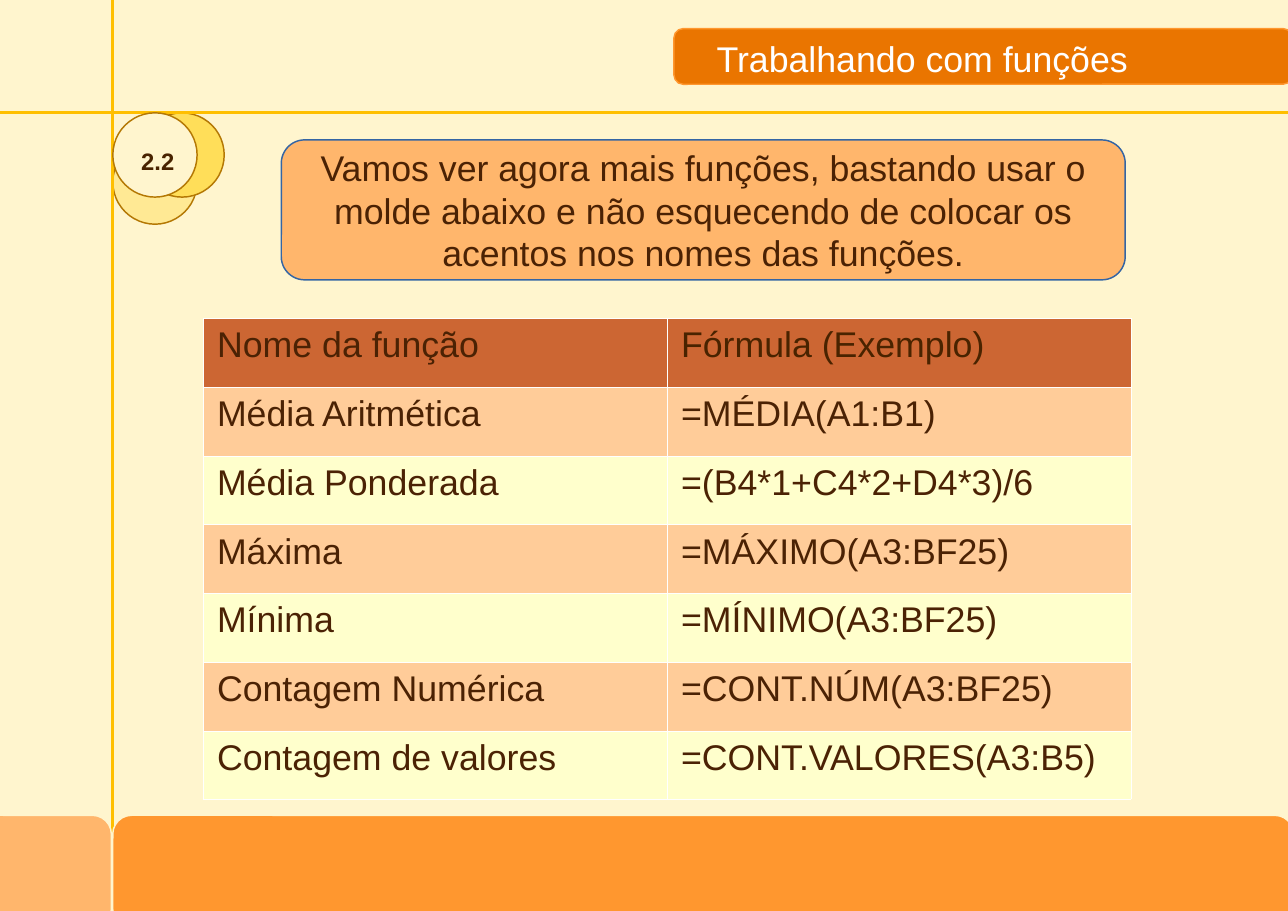
"""Build the slide about working with spreadsheet functions."""
from dataclasses import dataclass

from lxml import etree
from pptx import Presentation
from pptx import util as u
from pptx.dml.color import RGBColor
from pptx.enum import shapes, text
from pptx.oxml import ns


@dataclass(frozen=True)
class Theme:
    """Colours, font and type sizes of the slide."""
    font: str = "Arial"
    body_size: float = 18
    badge_size: float = 12
    cream: str = "FFF5CE"
    pale_yellow: str = "FFE994"
    yellow: str = "FFDE59"
    gold: str = "FFBF00"
    bronze: str = "B47804"
    orange: str = "FF972F"
    peach: str = "FFB66C"
    deep_orange: str = "EA7500"
    blue: str = "3465A4"
    white: str = "FFFFFF"
    brown: str = "4B2204"
    dark_brown: str = "492300"
    header: str = "CC6633"
    bands: tuple[str, str] = ("FFCC99", "FFFFCC")


@dataclass(frozen=True)
class Panel:
    """A filled preset shape with a hairline outline."""
    left: float
    top: float
    width: float
    height: float
    fill: str
    line: str
    kind: shapes.MSO_SHAPE = shapes.MSO_SHAPE.ROUNDED_RECTANGLE


@dataclass(frozen=True)
class Rule:
    """A straight line between two points."""
    start: tuple[float, float]
    end: tuple[float, float]


THEME = Theme()
MARGIN = 0.79
CIRCLE = 0.59
OFFSET = 0.19


def circle(left: float, top: float, fill: str) -> Panel:
    """Describe one circle of the section badge."""
    return Panel(left, top, CIRCLE, CIRCLE, fill, THEME.bronze, shapes.MSO_SHAPE.OVAL)


BACK_CIRCLES = (
    circle(MARGIN, MARGIN + OFFSET, THEME.pale_yellow),
    circle(MARGIN + OFFSET, MARGIN, THEME.yellow),
)
FRONT_CIRCLE = circle(MARGIN, MARGIN, THEME.cream)
RULES = (Rule((MARGIN, 0), (MARGIN, 6.38)), Rule((0, MARGIN), (9.06, MARGIN)))
TITLE_BAR = Panel(4.72, 0.2, 4.33, 0.39, THEME.deep_orange, THEME.orange)
FOOTERS = (
    Panel(-0.2, 5.71, 0.98, 0.79, THEME.peach, THEME.cream),
    Panel(MARGIN, 5.71, 8.27, 0.79, THEME.orange, THEME.cream),
)
CALLOUT = Panel(1.97, 0.98, 5.91, 0.98, THEME.peach, THEME.blue)
CALLOUT_TEXT = (
    "Vamos ver agora mais funções, bastando usar o molde abaixo "
    "e não esquecendo de colocar os",
    "acentos nos nomes das funções.",
)
FUNCTIONS = (
    ("Nome da função", "Fórmula (Exemplo)"),
    ("Média Aritmética", "=MÉDIA(A1:B1)"),
    ("Média Ponderada", "=(B4*1+C4*2+D4*3)/6"),
    ("Máxima", "=MÁXIMO(A3:BF25)"),
    ("Mínima", "=MÍNIMO(A3:BF25)"),
    ("Contagem Numérica", "=CONT.NÚM(A3:BF25)"),
    ("Contagem de valores", "=CONT.VALORES(A3:B5)"),
)


def color(value: str) -> RGBColor:
    """Turn a hex value into a colour."""
    return RGBColor.from_string(value)


def write(frame, *lines: str, size: float = THEME.body_size, fill: str = THEME.brown,
          bold: bool = False, align=text.PP_ALIGN.LEFT,
          anchor=text.MSO_ANCHOR.TOP, wrap: bool = True) -> None:
    """Write one paragraph per line with the given format."""
    frame.word_wrap = wrap
    frame.vertical_anchor = anchor
    for index, line in enumerate(lines):
        para = frame.add_paragraph() if index else frame.paragraphs[0]
        para.alignment = align
        span = para.add_run()
        span.text = line
        span.font.name = THEME.font
        span.font.size = u.Pt(size)
        span.font.bold = bold
        span.font.color.rgb = color(fill)


def add_panel(page, panel: Panel):
    """Draw a panel and return its shape."""
    box = page.shapes.add_shape(
        panel.kind, u.Inches(panel.left), u.Inches(panel.top),
        u.Inches(panel.width), u.Inches(panel.height))
    box.shadow.inherit = False
    box.fill.solid()
    box.fill.fore_color.rgb = color(panel.fill)
    box.line.color.rgb = color(panel.line)
    box.line.width = u.Pt(0)
    return box


def add_rule(page, rule: Rule) -> None:
    """Draw a gold line without a shadow."""
    line = page.shapes.add_connector(
        shapes.MSO_CONNECTOR.STRAIGHT,
        *(u.Inches(value) for value in rule.start + rule.end))
    line.line.color.rgb = color(THEME.gold)
    line.line.width = u.Pt(1.5)
    etree.SubElement(line._element.spPr, ns.qn("a:effectLst"))


def add_label(page, left: float, top: float, width: float, height: float):
    """Add a text box and return its text frame."""
    box = page.shapes.add_textbox(
        u.Inches(left), u.Inches(top), u.Inches(width), u.Inches(height))
    return box.text_frame


def set_borders(cell, value: str, width: float) -> None:
    """Give a cell the same border on all four sides."""
    properties = cell._tc.get_or_add_tcPr()
    for index, side in enumerate(("lnL", "lnR", "lnT", "lnB")):
        line = etree.Element(ns.qn(f"a:{side}"), w=str(u.Pt(width)))
        fill = etree.SubElement(line, ns.qn("a:solidFill"))
        etree.SubElement(fill, ns.qn("a:srgbClr"), val=value)
        properties.insert(index, line)


def add_functions(page) -> None:
    """Draw the table of functions and formulas."""
    table = page.shapes.add_table(
        len(FUNCTIONS), 2, u.Inches(1.42), u.Inches(2.23),
        u.Inches(6.5), u.Inches(3.37)).table
    for row, entries in enumerate(FUNCTIONS):
        band = THEME.bands[(row - 1) % 2] if row else THEME.header
        for column, entry in enumerate(entries):
            cell = table.cell(row, column)
            cell.fill.solid()
            cell.fill.fore_color.rgb = color(band)
            set_borders(cell, THEME.white, 0.06)
            is_formula_header = row == 0 and column == 1
            write(cell.text_frame, entry,
                  fill=THEME.dark_brown if is_formula_header else THEME.brown)


def main() -> None:
    """Assemble and save the deck."""
    deck = Presentation()
    deck.slide_width, deck.slide_height = u.Inches(9.02), u.Inches(6.38)
    page = deck.slides.add_slide(deck.slide_layouts[6])
    page.background.fill.solid()
    page.background.fill.fore_color.rgb = color(THEME.cream)

    for panel in BACK_CIRCLES:
        add_panel(page, panel)
    for rule in RULES:
        add_rule(page, rule)
    add_panel(page, FRONT_CIRCLE)
    write(add_label(page, 0.84, 0.98, 0.53, 0.3), "2.2", size=THEME.badge_size,
          fill=THEME.dark_brown, bold=True, align=text.PP_ALIGN.CENTER)

    add_panel(page, TITLE_BAR)
    write(add_label(page, 4.92, 0.21, 3.08, 0.38), "Trabalhando com funções",
          fill=THEME.white, wrap=False)
    for panel in FOOTERS:
        add_panel(page, panel)

    add_functions(page)
    write(add_panel(page, CALLOUT).text_frame, *CALLOUT_TEXT,
          align=text.PP_ALIGN.CENTER, anchor=text.MSO_ANCHOR.MIDDLE)
    deck.save("out.pptx")


if __name__ == "__main__":
    main()
